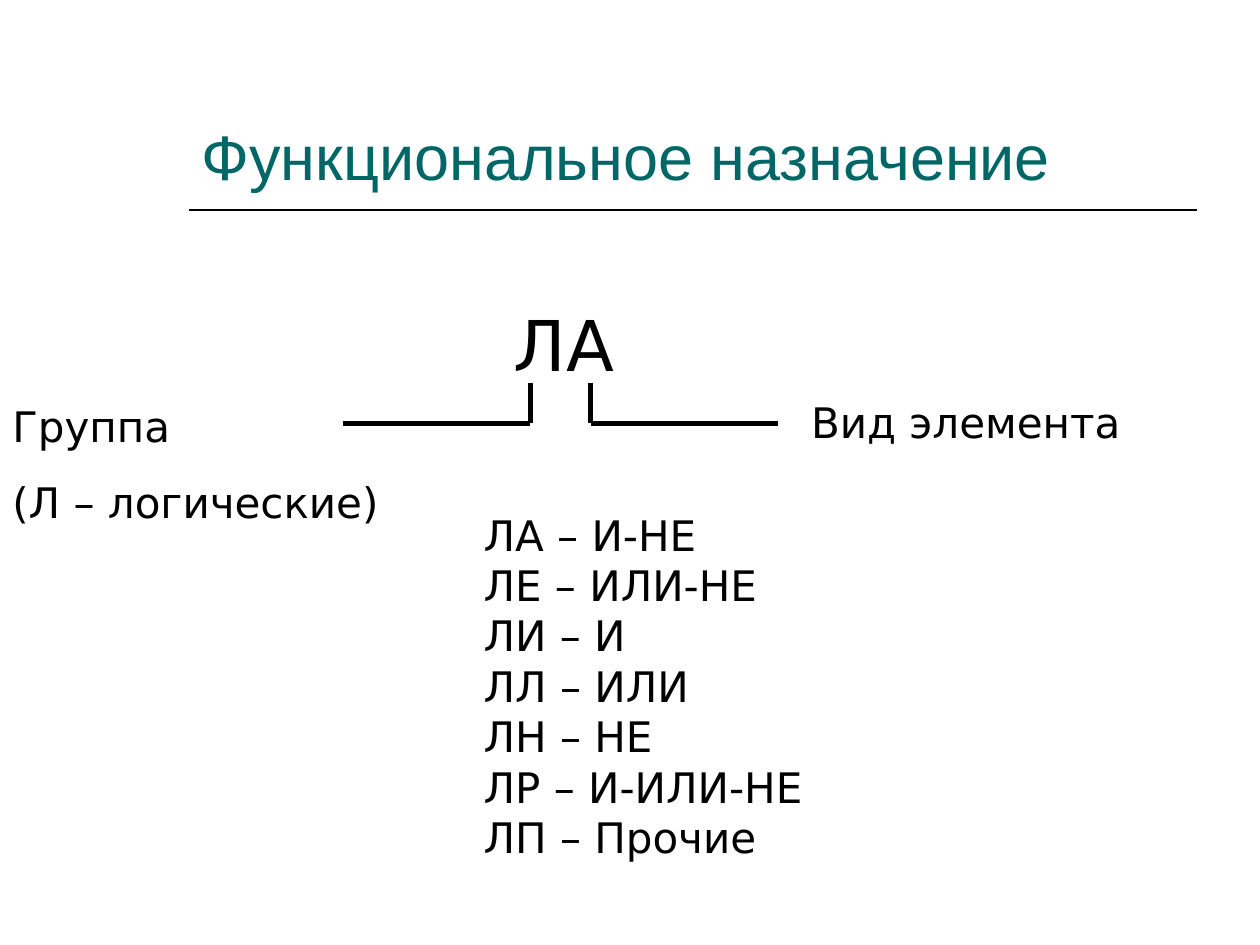
import pptx
import pptx.dml.color
import pptx.enum.shapes
import pptx.enum.text
import pptx.oxml.ns
import pptx.util
from lxml import etree

Cm, Pt = pptx.util.Cm, pptx.util.Pt
ANCHOR = pptx.enum.text.MSO_ANCHOR

THEME = {
    "title": {"font": "Arial", "size": 36, "color": "006666"},
    "code": {"font": "DejaVu Sans", "size": 40, "color": "000000"},
    "body": {"font": "DejaVu Sans", "size": 24, "color": "000000"},
    "line": "000000",
}

KINDS = [
    ("ЛА", "И-НЕ"),
    ("ЛЕ", "ИЛИ-НЕ"),
    ("ЛИ", "И"),
    ("ЛЛ", "ИЛИ"),
    ("ЛН", "НЕ"),
    ("ЛР", "И-ИЛИ-НЕ"),
    ("ЛП", "Прочие"),
]

TEXTS = [
    ("title", (3.81, 0.84, 20.32, 3.17), ANCHOR.BOTTOM, ["Функциональное назначение"]),
    ("code", (10.11, 5.95, 8.2, 1.95), ANCHOR.TOP, ["ЛА"]),
    ("body", (0, 7.94, 8.1, 2.82), ANCHOR.TOP, ["Группа", "(Л – логические)"]),
    ("body", (16.1, 7.86, 8.1, 1.27), ANCHOR.TOP, ["Вид элемента"]),
    ("body", (9.5, 10.14, 8.1, 7.37), ANCHOR.TOP,
     ["\v".join(f"{code} – {kind}" for code, kind in KINDS)]),
]

RULE = (3.81, 4.23, 24.13, 4.23)
AXIS, STEM, REACH = 11.3, 0.61, 4.39
STEM_TOP, STEM_END = 7.72, 8.53
PARAGRAPH_GAP = 15


def color(code):
    """Return the RGB colour for a hex code."""
    return pptx.dml.color.RGBColor.from_string(code)


def add_text(s, style, box, anchor, lines):
    """Add a text box with one paragraph per line."""
    look = THEME[style]
    tf = s.shapes.add_textbox(*map(Cm, box)).text_frame
    tf.word_wrap = True
    tf.vertical_anchor = anchor
    for i, line in enumerate(lines):
        p = tf.add_paragraph() if i else tf.paragraphs[0]
        p.text = line
        if i:
            p.space_before = Pt(PARAGRAPH_GAP)
        p.font.name = look["font"]
        p.font.size = Pt(look["size"])
        p.font.color.rgb = color(look["color"])


def add_line(s, ends, width):
    """Add a straight line without a shadow."""
    kind = pptx.enum.shapes.MSO_CONNECTOR.STRAIGHT
    line = s.shapes.add_connector(kind, *map(Cm, ends))
    line.line.color.rgb = color(THEME["line"])
    line.line.width = Pt(width)
    etree.SubElement(line._element.spPr, pptx.oxml.ns.qn("a:effectLst"))


def main():
    """Build the slide and save it."""
    prs = pptx.Presentation()
    prs.slide_width, prs.slide_height = Cm(25.4), Cm(19.05)
    s = prs.slides.add_slide(prs.slide_layouts[6])
    add_line(s, RULE, 1)
    for text in TEXTS:
        add_text(s, *text)
    for side in (-1, 1):
        stem, end = AXIS + side * STEM, AXIS + side * REACH
        add_line(s, (stem, STEM_TOP, stem, STEM_END), 3)
        add_line(s, (stem, STEM_END, end, STEM_END), 3)
    prs.save("out.pptx")


if __name__ == "__main__":
    main()
